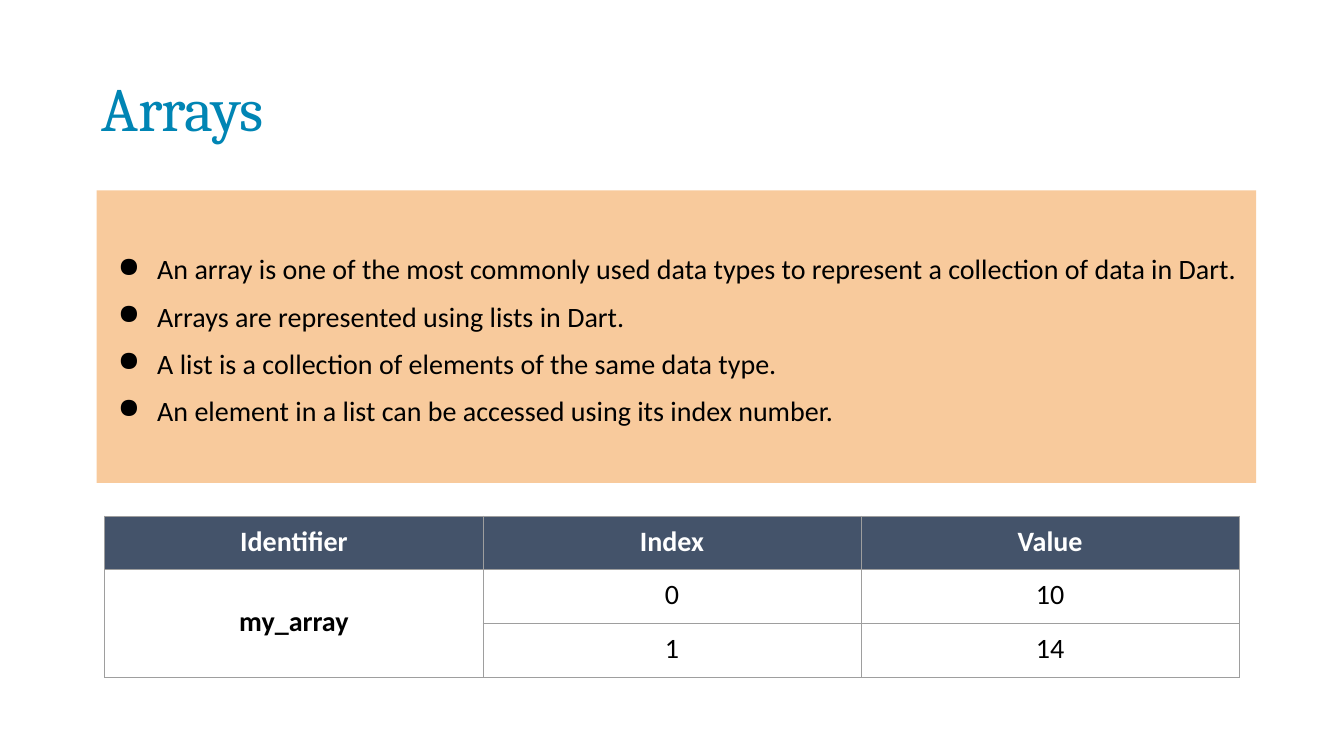
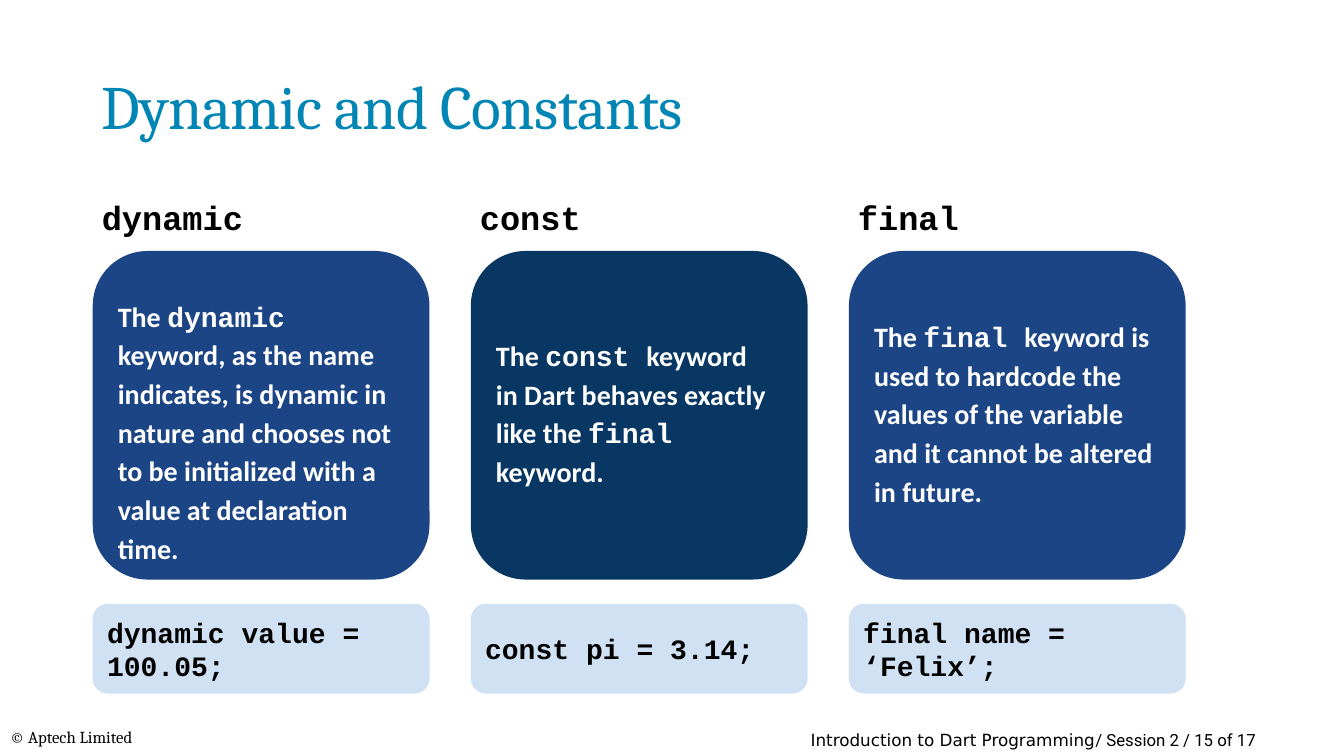
import pptx
import pptx.dml.color
import pptx.enum.shapes
import pptx.enum.text
import pptx.oxml
import pptx.oxml.ns
import pptx.util

EMU_PER_PX = 9144
COLORS = {
    "title": "0085B4", "ink": "000000", "paper": "FFFFFF", "peach": "F8CA9C",
    "header": "44536A", "border": "9E9E9E", "blue": "1C4586", "navy": "073762",
    "pale": "CFE1F3",
}
BODY, SERIF, CODE = "Calibri", "Cambria", "Courier New"
SHAPES = pptx.enum.shapes.MSO_SHAPE
ANCHORS = pptx.enum.text.MSO_ANCHOR
ALIGNMENTS = pptx.enum.text.PP_ALIGN


def px(length):
    return pptx.util.Emu(length * EMU_PER_PX)


def rgb(name):
    return pptx.dml.color.RGBColor.from_string(COLORS[name])


def element(markup):
    namespace = pptx.oxml.ns.nsdecls("a")
    return pptx.oxml.parse_xml(markup.replace(" ", f" {namespace} ", 1))


class Deck:
    """Holds the shared style and the slide being built."""

    def __init__(self):
        self.presentation = pptx.Presentation()
        self.presentation.slide_width = px(1333)
        self.presentation.slide_height = px(750)
        self.slide = None

    def add_slide(self, title, top):
        layout = self.presentation.slide_layouts[5]
        self.slide = self.presentation.slides.add_slide(layout)
        shape = self.slide.shapes.title
        shape.left, shape.top, shape.width, shape.height = map(px, (101, top, 1130, 76))
        self.frame(shape.text_frame)
        paragraph = shape.text_frame.paragraphs[0]
        self.put_text(paragraph, title, 44, SERIF, "title")
        for run in paragraph.runs:
            run._r.get_or_add_rPr().set("spc", "-50")

    def frame(self, text_frame, insets=(0, 0, 0, 0), anchor=ANCHORS.TOP):
        text_frame.word_wrap = True
        text_frame.auto_size = pptx.enum.text.MSO_AUTO_SIZE.NONE
        text_frame.vertical_anchor = anchor
        (text_frame.margin_left, text_frame.margin_top,
         text_frame.margin_right, text_frame.margin_bottom) = map(px, insets)

    def put_text(self, paragraph, text, size, font=BODY, color="ink", bold=False,
                 align=ALIGNMENTS.LEFT, marked_font=CODE):
        """Fill a paragraph; parts between backticks take the marked font."""
        for index, part in enumerate(text.split("`")):
            if part:
                run = paragraph.add_run()
                run.text = part
                if index % 2:
                    run.font.name = marked_font
        paragraph.alignment = align
        paragraph.font.size = pptx.util.Pt(size)
        paragraph.font.name = font
        paragraph.font.bold = bold
        paragraph.font.color.rgb = rgb(color)

    def text(self, box, text, size, font=BODY, **style):
        shape = self.slide.shapes.add_textbox(*map(px, box))
        self.frame(shape.text_frame)
        self.put_text(shape.text_frame.paragraphs[0], text, size, font, **style)

    def panel(self, kind, box, fill, insets, anchor=ANCHORS.TOP):
        shape = self.slide.shapes.add_shape(kind, *map(px, box))
        shape.shadow.inherit = False
        shape.fill.solid()
        shape.fill.fore_color.rgb = rgb(fill)
        shape.line.fill.background()
        self.frame(shape.text_frame, insets, anchor)
        return shape.text_frame

    def bullets(self, box, lines):
        text_frame = self.panel(SHAPES.RECTANGLE, box, "peach", (0, 61, 0, 0))
        for index, line in enumerate(lines):
            paragraph = text_frame.add_paragraph() if index else text_frame.paragraphs[0]
            properties = paragraph._p.get_or_add_pPr()
            properties.set("marL", str(px(60)))
            properties.set("indent", str(px(-39)))
            properties.append(element('<a:buChar char="●"/>'))
            paragraph.space_before = pptx.util.Pt(9.6 if index else 0)
            self.put_text(paragraph, line, 20)

    def table(self, box, rows):
        shape = self.slide.shapes.add_table(len(rows), len(rows[0]), *map(px, box))
        table = shape.table
        table.horz_banding = False
        for row_index, row in enumerate(rows):
            for column_index, text in enumerate(row):
                cell = table.cell(row_index, column_index)
                header = row_index == 0
                self.cell(cell, text, header, header or column_index == 0)
        table.cell(1, 0).merge(table.cell(len(rows) - 1, 0))

    def cell(self, cell, text, header, bold):
        cell.vertical_anchor = ANCHORS.MIDDLE
        cell.margin_left = cell.margin_right = 0
        cell.margin_top, cell.margin_bottom = px(8), px(11)
        if header:
            cell.fill.solid()
            cell.fill.fore_color.rgb = rgb("header")
        else:
            cell.fill.background()
        properties = cell._tc.get_or_add_tcPr()
        for index, side in enumerate("LRTB"):
            properties.insert(index, element(
                f'<a:ln{side} w="9525"><a:solidFill><a:srgbClr val="{COLORS["border"]}"/>'
                f'</a:solidFill></a:ln{side}>'))
        self.put_text(cell.text_frame.paragraphs[0], text, 20, bold=bold,
                      color="paper" if header else "ink", align=ALIGNMENTS.CENTER)

    def keyword(self, left, name, fill, top_inset, right_inset, description, snippet):
        self.text((left + 9, 195, 300, 43), name, 24, CODE, bold=True)
        card = self.panel(SHAPES.ROUNDED_RECTANGLE, (left, 249, 334, 326), fill,
                          (9, top_inset, right_inset, 0))
        paragraph = card.paragraphs[0]
        paragraph.line_spacing = 1.15
        self.put_text(paragraph, description, 20, color="paper", bold=True)
        example = self.panel(SHAPES.ROUNDED_RECTANGLE, (left, 599, 334, 89), "pale",
                             (10, 0, 0, 0), ANCHORS.MIDDLE)
        self.put_text(example.paragraphs[0], snippet, 20, CODE, bold=True)

    def footer(self):
        self.text((10, 721, 200, 24), "© Aptech Limited", 12, SERIF)
        self.text((804, 724, 500, 23),
                  "`Introduction to Dart Programming`/ Session 2 / 15 of 17",
                  12, "Roboto", marked_font="DejaVu Sans")


def main():
    deck = Deck()

    deck.add_slide("Arrays", 69)
    deck.bullets((96, 189, 1150, 290), [
        "An array is one of the most commonly used data types to represent "
        "a collection of data in Dart.",
        "Arrays are represented using lists in Dart.",
        "A list is a collection of elements of the same data type.",
        "An element in a list can be accessed using its index number.",
    ])
    deck.table((104, 512, 1125, 160), [
        ("Identifier", "Index", "Value"),
        ("my_array", "0", "10"),
        ("", "1", "14"),
    ])

    deck.add_slide("Dynamic and Constants", 67)
    keywords = [
        ("dynamic", "blue", 27, 11,
         "The `dynamic `keyword, as the name indicates, is dynamic in nature and "
         "chooses not to be initialized with a value at declaration time.",
         "dynamic value = 100.05;"),
        ("const", "navy", 66, 24,
         "The `const `keyword in Dart behaves exactly like the `final `keyword.",
         "const pi = 3.14;"),
        ("final", "blue", 47, 14,
         "The `final `keyword is used to hardcode the values of the variable "
         "and it cannot be altered in future.",
         "final name = ‘Felix’;"),
    ]
    for index, keyword in enumerate(keywords):
        deck.keyword(92 + 375 * index, *keyword)
    deck.footer()

    deck.presentation.save("out.pptx")


if __name__ == "__main__":
    main()
